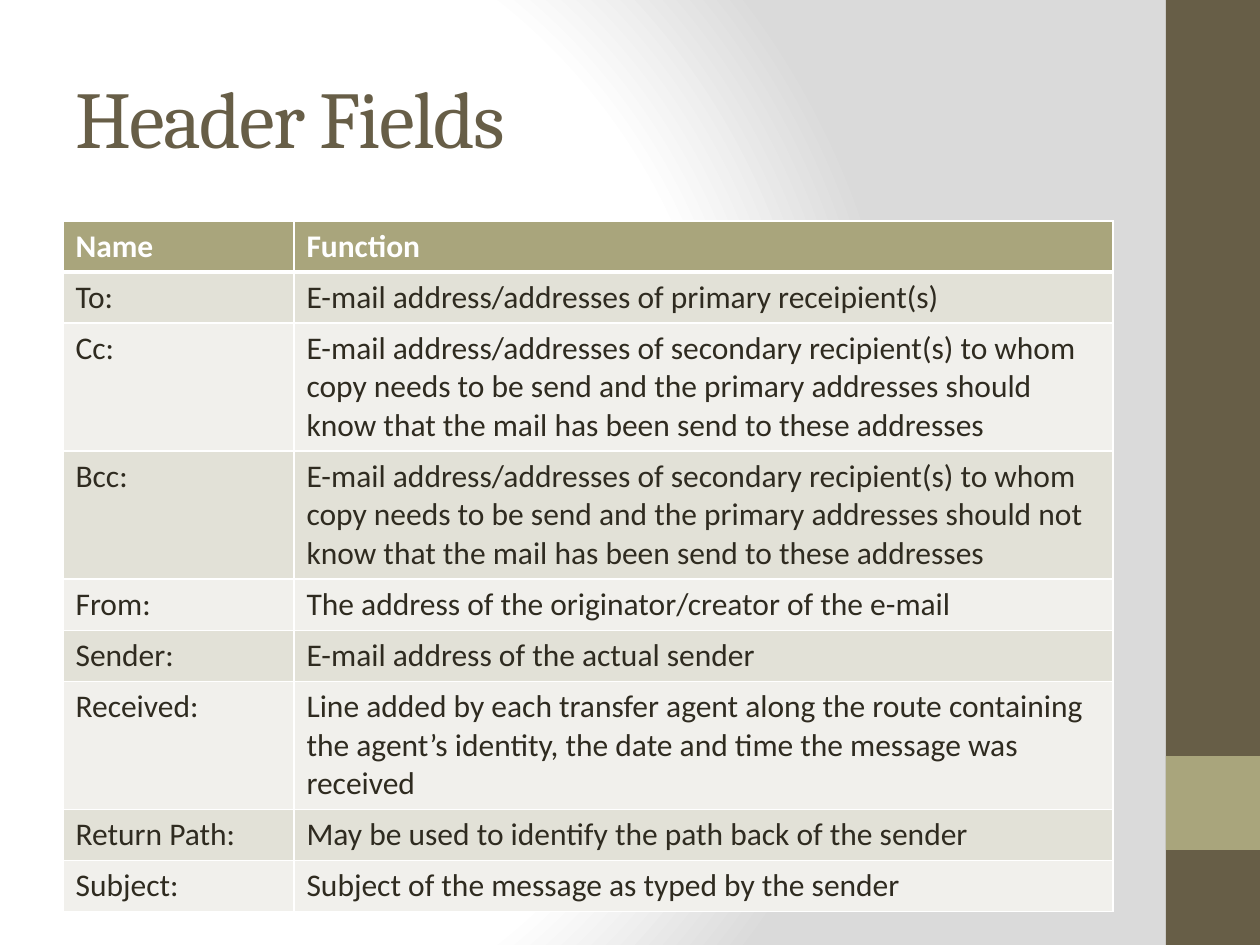
from lxml import etree
from pptx import Presentation
from pptx import util as u
from pptx.dml.color import RGBColor
from pptx.enum import shapes, text
from pptx.oxml import ns

SCALE = 914400 / 126
BROWN, OLIVE, INK, WHITE, GREY = "675E47", "A9A57C", "2F2B20", "FFFFFF", "DADADA"
BANDS = ("E2E1D7", "F1F0EC")
HEADER = ("Name", "Function")
FIELDS = [
    ("To:", "E-mail address/addresses of primary receipient(s)"),
    ("Cc:", "E-mail address/addresses of secondary recipient(s) to whom copy needs to be send "
            "and the primary addresses should know that the mail has been send to these addresses"),
    ("Bcc:", "E-mail address/addresses of secondary recipient(s) to whom copy needs to be send "
             "and the primary addresses should not know that the mail has been send to these addresses"),
    ("From:", "The address of the originator/creator of the e-mail"),
    ("Sender:", "E-mail address of the actual sender"),
    ("Received:", "Line added by each transfer agent along the route containing the agent’s identity, "
                  "the date and time the message was received"),
    ("Return Path:", "May be used to identify the path back of the sender"),
    ("Subject:", "Subject of the message as typed by the sender"),
]


def px(length):
    """Turn pixels into EMU."""
    return u.Emu(round(length * SCALE))


def paint(color_format, value):
    """Set a colour from a hex string."""
    color_format.rgb = RGBColor.from_string(value)


def fill(target, value):
    """Give a shape or cell a solid fill."""
    target.fill.solid()
    paint(target.fill.fore_color, value)


def add_element(parent, tag, **attributes):
    """Append a DrawingML element and return it."""
    return etree.SubElement(parent, ns.qn(tag), attributes)


def add_color(parent, value):
    """Append an RGB colour element."""
    add_element(parent, "a:srgbClr", val=value)


def write(frame, content, font="Calibri", size=18, color=INK, bold=False, spacing=0):
    """Write one formatted run into a text frame."""
    paragraph = frame.paragraphs[0]
    paragraph.alignment = text.PP_ALIGN.LEFT
    run = paragraph.add_run()
    run.text = content
    run.font.name, run.font.size, run.font.bold = font, u.Pt(size), bold
    paint(run.font.color, color)
    if spacing:
        run.font._element.set("spc", str(spacing * 100))


def set_background(slide):
    """Fill the background with a radial gradient."""
    slide.background.fill.solid()
    properties = slide.background._cSld.find(".//" + ns.qn("p:bgPr"))
    properties.remove(properties[0])
    gradient = etree.Element(ns.qn("a:gradFill"), rotWithShape="1")
    properties.insert(0, gradient)
    stops = add_element(gradient, "a:gsLst")
    for position, color in ((0, WHITE), (75, WHITE), (100, GREY)):
        add_color(add_element(stops, "a:gs", pos=str(position * 1000)), color)
    route = add_element(gradient, "a:path", path="circle")
    add_element(route, "a:fillToRect", l="20000", t="50000", r="100000", b="50000")


def add_block(slide, left, top, width, height, color):
    """Add a plain rectangle."""
    shape = slide.shapes.add_shape(
        shapes.MSO_SHAPE.RECTANGLE, px(left), px(top), px(width), px(height))
    shape.shadow.inherit = False
    fill(shape, color)
    shape.line.fill.background()


def set_title(slide, content):
    """Place and format the title."""
    title = slide.shapes.title
    title.left, title.top, title.width, title.height = px(63), px(38), px(1050), px(157)
    title.text_frame.vertical_anchor = text.MSO_ANCHOR.MIDDLE
    title.text_frame.word_wrap = True
    write(title.text_frame, content, font="Cambria", size=46, color=BROWN, spacing=-1)


def set_borders(cell, top, bottom):
    """Draw white borders, with top and bottom widths in points."""
    properties = cell._tc.get_or_add_tcPr()
    for side, width in (("L", 1), ("R", 1), ("T", top), ("B", bottom)):
        line = add_element(properties, "a:ln" + side, w=str(u.Pt(width)))
        add_color(add_element(line, "a:solidFill"), WHITE)


def add_field_table(slide):
    """Add the table of header fields."""
    rows = [HEADER, *FIELDS]
    table = slide.shapes.add_table(
        len(rows), len(HEADER), px(63), px(221), px(1050), px(51 * len(rows))).table
    for column, width in zip(table.columns, (231, 819)):
        column.width = px(width)
    for index, row in enumerate(rows):
        table.rows[index].height = px(51)
        is_header = index == 0
        for cell, content in zip(table.rows[index].cells, row):
            set_borders(cell, top=3 if index == 1 else 1, bottom=3 if is_header else 1)
            fill(cell, OLIVE if is_header else BANDS[(index - 1) % 2])
            write(cell.text_frame, content, color=WHITE if is_header else INK, bold=is_header)


def main():
    """Build and save the slide."""
    presentation = Presentation()
    presentation.slide_width, presentation.slide_height = px(1260), px(945)
    slide = presentation.slides.add_slide(presentation.slide_layouts[5])
    set_background(slide)
    add_block(slide, 1166, 0, 94, 945, BROWN)
    add_block(slide, 1166, 756, 94, 94, OLIVE)
    set_title(slide, "Header Fields")
    add_field_table(slide)
    presentation.save("out.pptx")


if __name__ == "__main__":
    main()
